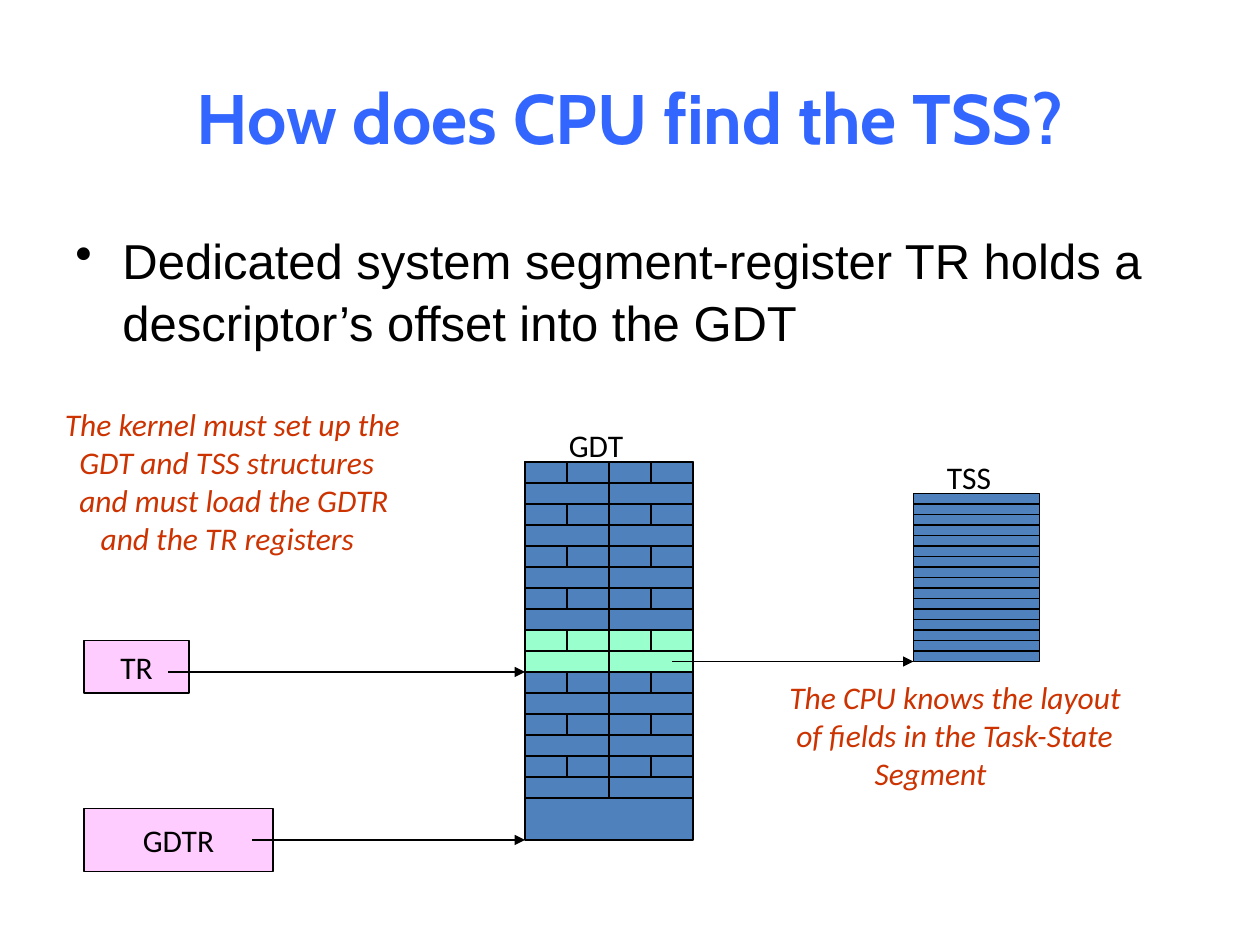
import pptx
import pptx.dml.color
import pptx.enum.shapes
import pptx.enum.text
import pptx.oxml
import pptx.oxml.ns
import pptx.util
from pptx.util import Cm

COLORS = {
    "title": "3366FF",
    "ink": "000000",
    "note": "CC3300",
    "register": "FFCCFF",
    "memory": "4F81BD",
    "selected": "99FFCC",
}
GRID = 2.54 / 12  # one grid step in centimetres: a twelfth of an inch
ALIGN = pptx.enum.text.PP_ALIGN
ANCHOR = pptx.enum.text.MSO_ANCHOR


def steps(*values):
    """Turn grid steps into lengths."""
    return [Cm(value * GRID) for value in values]


def color(name):
    return pptx.dml.color.RGBColor.from_string(COLORS[name])


def set_values(target, values):
    for name, value in values.items():
        setattr(target, name, value)


class SlideBuilder:
    """Holds the style and the current slide; places are in grid steps."""

    label_font = {"name": "Calibri", "size": pptx.util.Pt(18)}
    note_font = {**label_font, "italic": True}
    line_width = pptx.util.Pt(0.75)

    def __init__(self, slide):
        self.slide = slide

    def add_lines(self, shape, lines, font, ink="ink", align=ALIGN.LEFT,
                  anchor=ANCHOR.TOP, indents=None):
        frame = shape.text_frame
        set_values(frame, {"word_wrap": True, "vertical_anchor": anchor})
        for index, line in enumerate(lines):
            paragraph = frame.add_paragraph() if index else frame.paragraphs[0]
            paragraph.alignment = align
            run = paragraph.add_run()
            run.text = line
            set_values(run.font, font)
            run.font.color.rgb = color(ink)
            if indents:
                paragraph._p.get_or_add_pPr().set("marL", str(Cm(indents[index])))
        return frame

    def text(self, place, lines, font, **layout):
        shape = self.slide.shapes.add_textbox(*steps(*place))
        return self.add_lines(shape, lines, font, **layout)

    def bullet(self, place, line, font):
        paragraph = self.text(place, [line], font).paragraphs[0]
        paragraph.line_spacing = 1.06
        properties = paragraph._p.get_or_add_pPr()
        properties.set("marL", str(Cm(0.95)))
        properties.set("indent", str(Cm(-0.95)))
        properties.append(pptx.oxml.parse_xml(
            f'<a:buChar {pptx.oxml.ns.nsdecls("a")} char="•"/>'))

    def box(self, place, fill, label=None):
        shape = self.slide.shapes.add_shape(
            pptx.enum.shapes.MSO_SHAPE.RECTANGLE, *steps(*place))
        shape.shadow.inherit = False
        shape.fill.solid()
        shape.fill.fore_color.rgb = color(fill)
        shape.line.color.rgb = color("ink")
        shape.line.width = self.line_width
        if label:
            self.add_lines(shape, [label], self.label_font,
                           align=ALIGN.CENTER, anchor=ANCHOR.MIDDLE)

    def row(self, left, top, width, height, count, fill):
        cell_width = width / count
        for index in range(count):
            self.box((left + index * cell_width, top, cell_width, height), fill)

    def arrow(self, start, end, level):
        connector = self.slide.shapes.add_connector(
            pptx.enum.shapes.MSO_CONNECTOR.STRAIGHT,
            *steps(start, level, end, level))
        connector.line.color.rgb = color("ink")
        connector.line.width = self.line_width
        namespace = pptx.oxml.ns.nsdecls("a")
        properties = connector._element.spPr
        properties.get_or_add_ln().append(
            pptx.oxml.parse_xml(f'<a:tailEnd {namespace} type="triangle"/>'))
        properties.append(pptx.oxml.parse_xml(f"<a:effectLst {namespace}/>"))


def main():
    presentation = pptx.Presentation()
    presentation.slide_width, presentation.slide_height = Cm(25.4), Cm(19.05)
    builder = SlideBuilder(
        presentation.slides.add_slide(presentation.slide_layouts[6]))

    # Title and statement
    builder.text((6, 3.6, 108, 15), ["How does CPU find the TSS?"],
                 {"name": "Cabin", "size": pptx.util.Pt(40), "bold": True},
                 ink="title", align=ALIGN.CENTER, anchor=ANCHOR.MIDDLE)
    builder.bullet(
        (6, 21, 108, 59.4),
        "Dedicated system segment-register TR holds a "
        "descriptor’s offset into the GDT",
        {"name": "Arial", "size": pptx.util.Pt(28)})

    # Registers
    builder.box((8, 61, 10, 5), "register", "TR")
    builder.box((8, 77, 18, 6), "register", "GDTR")

    # GDT: eight descriptors, each a row of four cells over a row of two
    builder.text((53, 40, 8.8, 4.8), ["GDT"], builder.label_font)
    builder.box((50, 44, 16, 36), "memory")
    for descriptor in range(8):
        fill = "selected" if descriptor == 4 else "memory"
        top = 44 + 4 * descriptor
        builder.row(50, top, 16, 2, 4, fill)
        builder.row(50, top + 2, 16, 2, 2, fill)

    # TSS: sixteen fields
    builder.text((89, 43, 8.3, 4.8), ["TSS"], builder.label_font)
    for field in range(16):
        builder.box((87, 47 + field, 12, 1), "memory")

    # Pointers: GDTR to GDT, TR to descriptor, descriptor to TSS
    for start, end, level in [(24, 50, 80), (16, 50, 64), (64, 87, 63)]:
        builder.arrow(start, end, level)

    # Notes
    builder.text((74, 64, 38, 12),
                 ["The CPU knows the layout", "of fields in the Task-State",
                  "Segment"],
                 builder.note_font, ink="note", indents=[0, 0.14, 1.72])
    builder.text((5, 38, 38, 15.6),
                 ["The kernel must set up the", "GDT and TSS structures",
                  "and must load the GDTR", "and the TR registers"],
                 builder.note_font, ink="note", indents=[0, 0.29, 0.29, 0.72])

    presentation.save("out.pptx")


if __name__ == "__main__":
    main()
